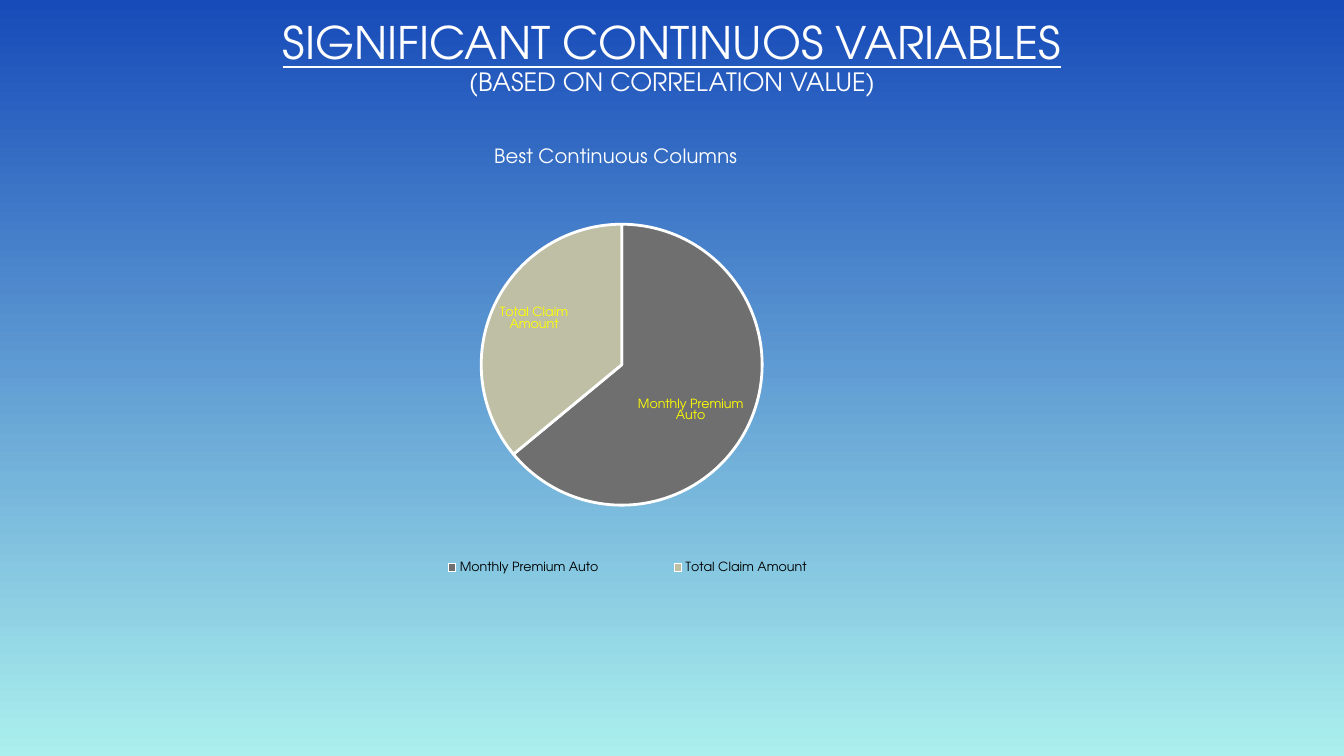
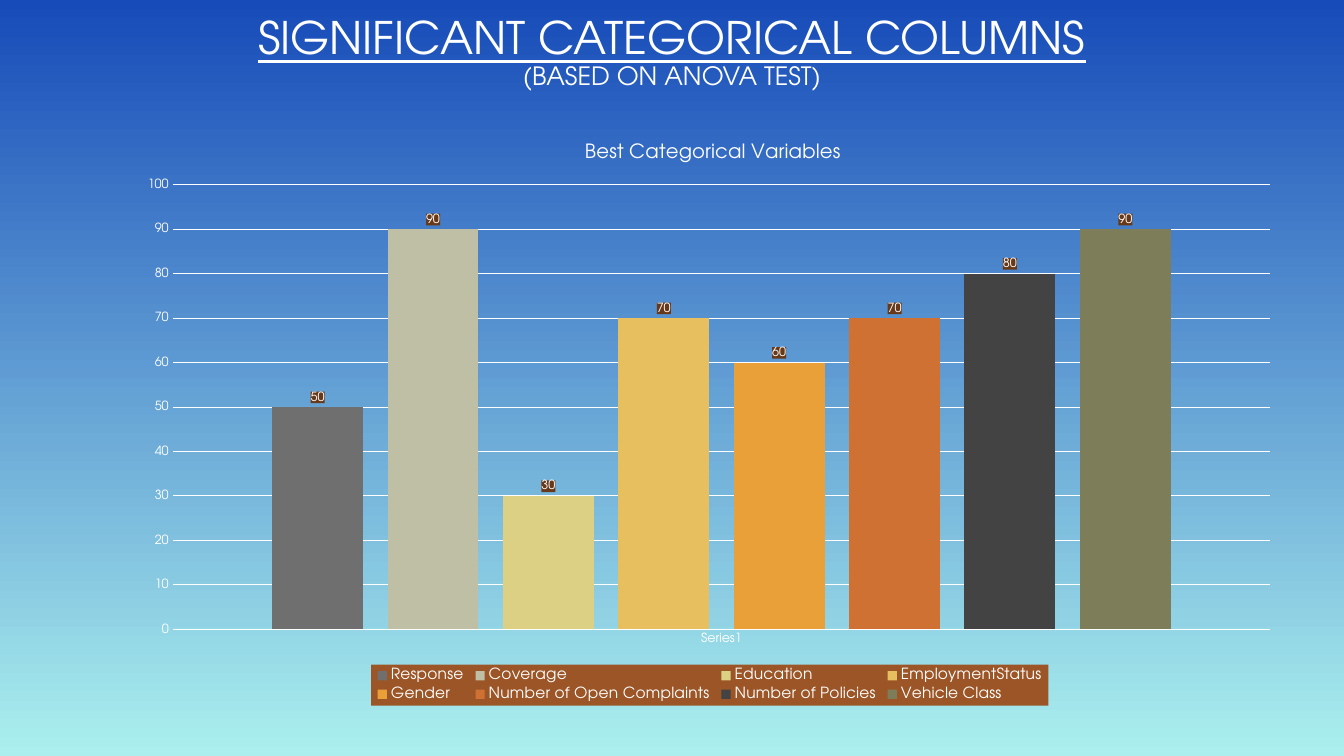
from pptx import Presentation
from pptx import util as u
from pptx.chart.data import CategoryChartData
from pptx.dml.color import RGBColor
from pptx.enum import chart as ch, text
from pptx.oxml import parse_xml
from pptx.oxml.ns import nsdecls, qn

FONT = "TeX Gyre Adventor"
COLORS = {
    "sky_top": "174BB9", "sky_bottom": "ABF0EE", "white": "FFFFFF",
    "black": "000000", "pie_label": "FFFF00",
    "label_fill": "683919", "legend_fill": "9B5526",
}
BEST_CONTINUOUS = [
    ("Monthly Premium Auto", 64, "6F6F6F"),
    ("Total Claim Amount", 36, "BFBFA5"),
]
BEST_CATEGORICAL = [
    ("Response", 50, "6F6F6F"),
    ("Coverage", 90, "BFBFA5"),
    ("Education", 30, "DCD084"),
    ("EmploymentStatus", 70, "E7BF5F"),
    ("Gender", 60, "E9A039"),
    ("Number of Open Complaints", 70, "CF7133"),
    ("Number of Policies", 80, "434343"),
    ("Vehicle Class", 90, "7D7D59"),
]


def rgb(name):
    return RGBColor.from_string(COLORS.get(name, name))


def style_font(font, size, color="white"):
    font.name, font.size, font.bold = FONT, u.Pt(size), False
    font.color.rgb = rgb(color)


def paint_background(master):
    fill = master.background.fill
    fill.gradient()
    fill.gradient_angle = 270
    for stop, color in zip(fill.gradient_stops, ("sky_top", "sky_bottom")):
        stop.color.rgb = rgb(color)


def add_titled_slide(prs, heading, basis, top):
    """Title-only slide: underlined heading with its basis below."""
    slide = prs.slides.add_slide(prs.slide_layouts[5])
    title = slide.shapes.title
    title.left, title.top = u.Pt(90), u.Pt(top)
    title.width, title.height = u.Pt(780), u.Pt(150)
    frame = title.text_frame
    frame.vertical_anchor = text.MSO_ANCHOR.MIDDLE
    line = frame.paragraphs[0]
    line.alignment, line.line_spacing = text.PP_ALIGN.CENTER, 0.9
    style_font(line.font, 32)
    heading_run = line.add_run()
    heading_run.text, heading_run.font.underline = heading, True
    line.add_line_break()
    basis_run = line.add_run()
    basis_run.text, basis_run.font.size = basis, u.Pt(18)
    return slide


def place(part, x, y, w=None, h=None, after=None, inner=False):
    """Give a chart part a fixed place, in fractions of the chart."""
    for old in part.findall(qn("c:layout")):
        part.remove(old)
    sizes = [(k, v) for k, v in zip("xywh", (x, y, w, h)) if v is not None]
    settings = '<c:layoutTarget val="inner"/>' if inner else ""
    settings += '<c:xMode val="edge"/><c:yMode val="edge"/>'
    settings += "".join(f'<c:{k} val="{v}"/>' for k, v in sizes)
    layout = parse_xml(f'<c:layout {nsdecls("c")}><c:manualLayout>{settings}'
                       '</c:manualLayout></c:layout>')
    if after:
        part.find(qn(after)).addnext(layout)
    else:
        part.insert(0, layout)


def fill_behind_text(part, color):
    part.find(qn("c:txPr")).addprevious(parse_xml(
        f'<c:spPr {nsdecls("c", "a")}><a:solidFill>'
        f'<a:srgbClr val="{COLORS[color]}"/></a:solidFill></c:spPr>'))


def add_chart(slide, kind, data, box, title, title_at, plot_at, legend_at,
              legend_size, legend_color):
    chart = slide.shapes.add_chart(kind, *map(u.Pt, box), data).chart
    style_font(chart.font, 10)
    # Chart title
    chart.has_title = True
    caption = chart.chart_title.text_frame
    caption.text = title
    style_font(caption.paragraphs[0].font, 14)
    place(chart.chart_title._element, *title_at, after="c:tx")
    # Plot area and legend
    place(chart._chartSpace.find(".//" + qn("c:plotArea")), *plot_at, inner=True)
    chart.has_legend = True
    legend = chart.legend
    legend.position = ch.XL_LEGEND_POSITION.BOTTOM
    legend.include_in_layout = False
    style_font(legend.font, legend_size, legend_color)
    place(legend._element, *legend_at, after="c:legendPos")
    return chart


def add_continuous_pie(slide):
    data = CategoryChartData()
    data.categories = [name for name, _, _ in BEST_CONTINUOUS]
    data.add_series("Series 1", [share for _, share, _ in BEST_CONTINUOUS])
    chart = add_chart(slide, ch.XL_CHART_TYPE.PIE, data, (90, 83, 814, 386),
                      "Best Continuous Columns", (0.32, 0.05),
                      (0.08, 0.2, 0.71, 0.52), (0.22, 0.8, 0.44, 0.07),
                      9, "black")
    pie = chart.plots[0]
    pie.vary_by_categories = True
    for index, (_, _, color) in enumerate(BEST_CONTINUOUS):
        slice_format = pie.series[0].points[index].format
        slice_format.fill.solid()
        slice_format.fill.fore_color.rgb = rgb(color)
        slice_format.line.color.rgb = rgb("white")
        slice_format.line.width = u.Pt(2)
    pie.has_data_labels = True
    labels = pie.data_labels
    labels.show_category_name = True
    labels.show_value = labels.show_percentage = False
    labels.position = ch.XL_LABEL_POSITION.INSIDE_END
    style_font(labels.font, 9, "pie_label")


def style_axes(chart):
    scale, base = chart.value_axis, chart.category_axis
    scale.minimum_scale, scale.maximum_scale, scale.major_unit = 0, 100, 10
    scale.has_major_gridlines = True
    scale.format.line.fill.background()
    for axis in (scale, base):
        axis.major_tick_mark = ch.XL_TICK_MARK.NONE
        style_font(axis.tick_labels.font, 9)
    for line in (scale.major_gridlines.format.line, base.format.line):
        line.color.rgb, line.width = rgb("white"), u.Pt(0.75)


def add_categorical_columns(slide):
    data = CategoryChartData()
    data.categories = ["Series1"]
    for name, score, _ in BEST_CATEGORICAL:
        data.add_series(name, [score])
    chart = add_chart(slide, ch.XL_CHART_TYPE.COLUMN_CLUSTERED, data,
                      (90, 86, 834, 418), "Best Categorical Variables",
                      (0.39, 0.03), (0.04, 0.11, 0.94, 0.76),
                      (0.21, 0.93, 0.58, 0.07), 11, "white")
    fill_behind_text(chart.legend._element, "legend_fill")
    style_axes(chart)
    columns = chart.plots[0]
    columns.vary_by_categories = False
    columns.gap_width, columns.overlap = 219, -27
    for series, (_, _, color) in zip(columns.series, BEST_CATEGORICAL):
        series.format.fill.solid()
        series.format.fill.fore_color.rgb = rgb(color)
        labels = series.data_labels
        labels.show_value = True
        labels.position = ch.XL_LABEL_POSITION.OUTSIDE_END
        style_font(labels.font, 9)
        fill_behind_text(labels._element, "label_fill")


def main():
    prs = Presentation()
    prs.slide_width, prs.slide_height = u.Pt(960), u.Pt(540)
    paint_background(prs.slide_master)
    add_continuous_pie(add_titled_slide(
        prs, "SIGNIFICANT CONTINUOS VARIABLES",
        "(BASED ON CORRELATION VALUE)", -33))
    add_categorical_columns(add_titled_slide(
        prs, "SIGNIFICANT CATEGORICAL COLUMNS",
        "(BASED ON ANOVA TEST)", -37))
    prs.save("out.pptx")


if __name__ == "__main__":
    main()
